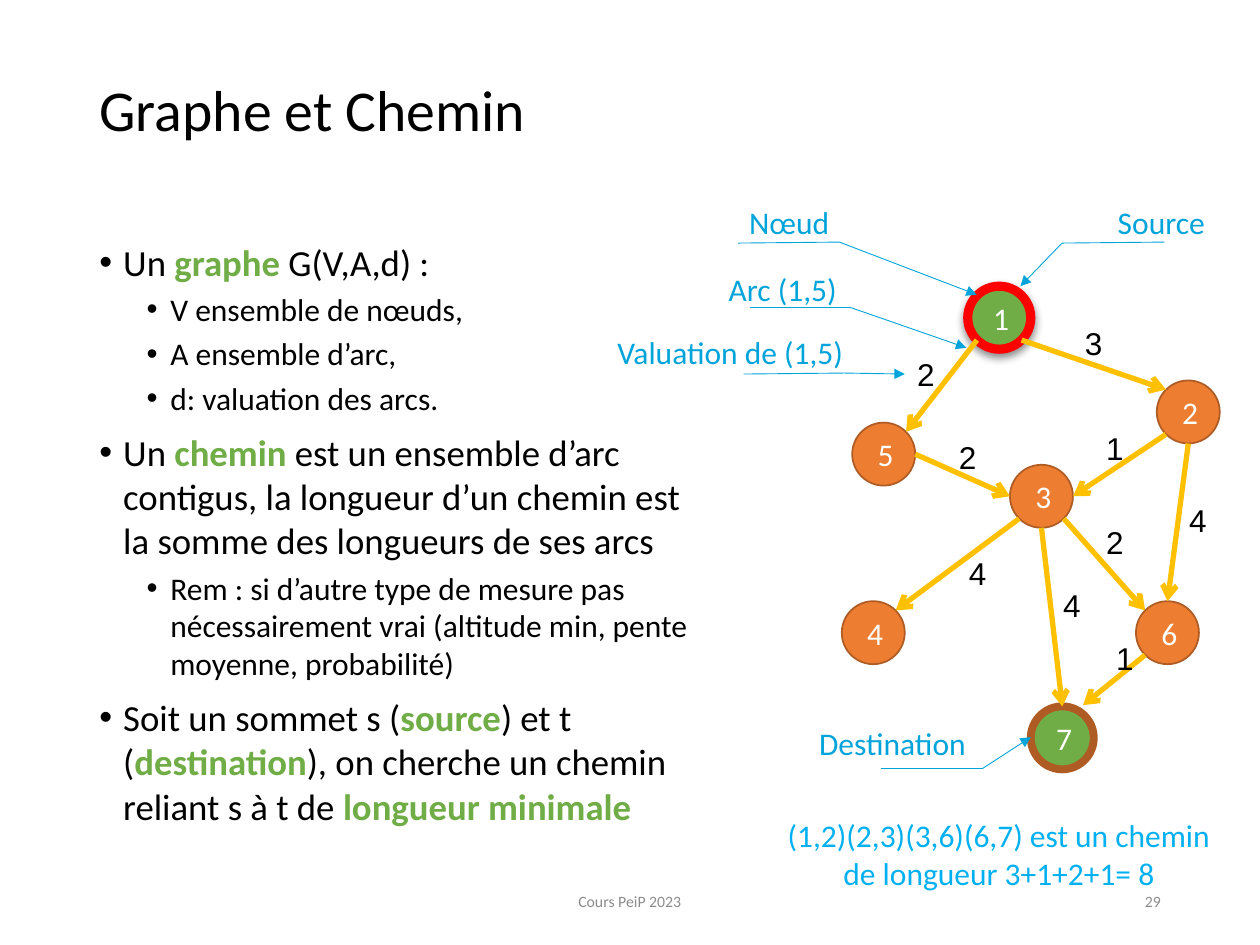
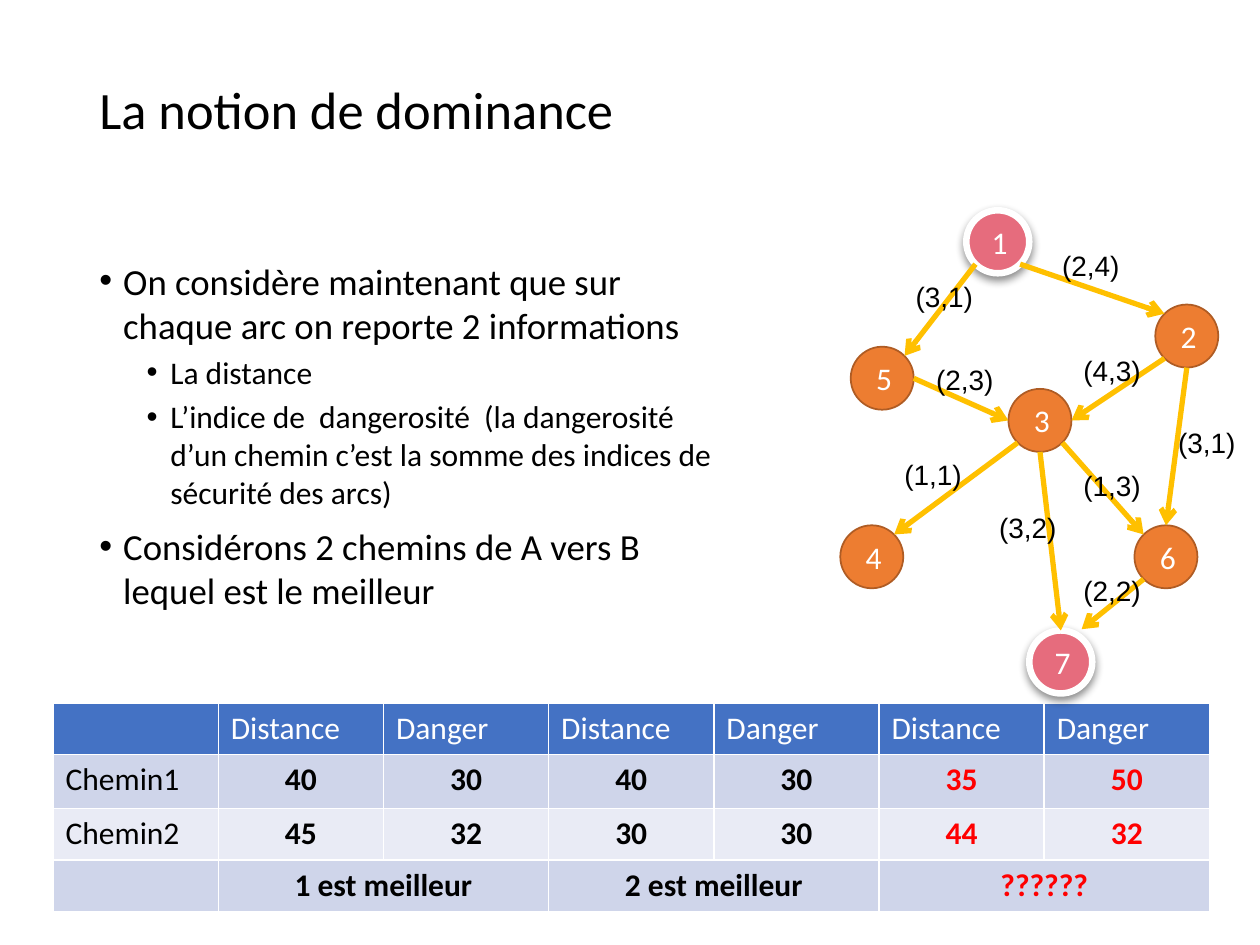
"""Build two slides on graphs, paths and dominance."""
from lxml import etree
from pptx import Presentation
from pptx.dml.color import RGBColor
from pptx.enum.shapes import MSO_CONNECTOR, MSO_SHAPE
from pptx.enum.text import MSO_ANCHOR, MSO_AUTO_SIZE, PP_ALIGN
from pptx.oxml.ns import qn
from pptx.util import Cm, Pt

LEFT, CENTER, RIGHT = PP_ALIGN.LEFT, PP_ALIGN.CENTER, PP_ALIGN.RIGHT
TOP, MIDDLE = MSO_ANCHOR.TOP, MSO_ANCHOR.MIDDLE
NO_AUTOFIT = MSO_AUTO_SIZE.NONE
STRAIGHT = MSO_CONNECTOR.STRAIGHT
OVAL = MSO_SHAPE.OVAL

BLACK = RGBColor(0x00, 0x00, 0x00)
WHITE = RGBColor(0xFF, 0xFF, 0xFF)
RED = RGBColor(0xFF, 0x00, 0x00)
GREEN = RGBColor(0x70, 0xAD, 0x47)
ORANGE = RGBColor(0xED, 0x7D, 0x31)
BROWN = RGBColor(0xAF, 0x5C, 0x24)
PINK = RGBColor(0xE6, 0x6C, 0x7D)
AMBER = RGBColor(0xFF, 0xC0, 0x00)
CALLOUT_BLUE = RGBColor(0x01, 0xA4, 0xDA)
PATH_BLUE = RGBColor(0x00, 0xB0, 0xF0)
GRAY = RGBColor(0x8C, 0x8C, 0x8C)
HEADER_BLUE = RGBColor(0x44, 0x72, 0xC4)
BAND_DARK = RGBColor(0xCF, 0xD5, 0xEA)
BAND_LIGHT = RGBColor(0xE9, 0xEB, 0xF5)

FONT = "Calibri"
LABEL_FONT = "Arial"

DIAMETER = 1.27
NODE_OFFSETS = {
    1: (0, 0), 2: (3.81, 1.9), 3: (0.85, 3.6), 4: (-2.54, 6.35),
    5: (-2.33, 2.75), 6: (3.39, 6.35), 7: (1.27, 8.47),
}
RIM = {
    "top": (0, -1), "left": (-1, 0), "bottom": (0, 1), "right": (1, 0),
    "top left": (-0.71, -0.71), "top right": (0.71, -0.71),
    "bottom left": (-0.71, 0.71), "bottom right": (0.71, 0.71),
    "above right": (0.66, -1.04),
}
ARCS = {
    (1, 2): ("bottom right", "top left"),
    (1, 5): ("bottom left", "top right"),
    (5, 3): ("right", "left"),
    (2, 3): ("bottom left", "right"),
    (2, 6): ("bottom", "top"),
    (6, 7): ("bottom left", "above right"),
    (3, 4): ("bottom left", "top right"),
    (3, 6): ("bottom right", "top left"),
    (3, 7): ("bottom", "top"),
}

GRAPH_BULLETS = [
    (0, "Un |graphe| G(V,A,d) :"),
    (1, "V ensemble de nœuds,"),
    (1, "A ensemble d’arc,"),
    (1, "d: valuation des arcs."),
    (0, "Un |chemin| est un ensemble d’arc contigus, la longueur d’un chemin "
        "est la somme des longueurs de ses arcs"),
    (1, "Rem : si d’autre type de mesure pas nécessairement vrai "
        "(altitude min, pente moyenne, probabilité)"),
    (0, "Soit un sommet s (|source|) et t (|destination|), on cherche un "
        "chemin reliant s à t de |longueur minimale|"),
]
DOMINANCE_BULLETS = [
    (0, "On considère maintenant que sur chaque arc on reporte 2 informations"),
    (1, "La distance"),
    (1, "L’indice de  dangerosité  (la dangerosité d’un chemin c’est la somme "
        "des indices de sécurité des arcs)"),
    (0, "Considérons 2 chemins de A vers B  lequel est le meilleur"),
]

LENGTHS = [
    ("2", 18.24, 7.04), ("4", 21.18, 11.68), ("3", 21.62, 6.4),
    ("4", 19.28, 11.05), ("2", 22.05, 10.41), ("1", 22.25, 12.75),
    ("4", 23.72, 9.98), ("2", 19.08, 8.71), ("1", 22.05, 8.53),
]
DISTANCE_DANGER = [
    ("(3,1)", 18.21, 5.51), ("(2,4)", 21.16, 4.88), ("(2,3)", 18.62, 7.19),
    ("(4,3)", 21.59, 7.01), ("(2,2)", 21.59, 11.43), ("(1,3)", 21.59, 9.32),
    ("(1,1)", 17.98, 9.09), ("(3,2)", 19.89, 10.16), ("(3,1)", 23.5, 8.46),
]
CALLOUTS = [
    ("Nœud", (14.68, 3.96, 2.29), [(14.88, 4.9), (16.92, 4.88), (19.69, 5.94)]),
    ("Arc (1,5)", (14.4, 5.31, 2.72), [(15.11, 6.2), (17.15, 6.2), (19.48, 7.01)]),
    ("Valuation de (1,5)", (12.12, 6.58, 5.13),
     [(14.99, 7.54), (17.02, 7.52), (18.24, 7.54)]),
    ("Source", (22.25, 3.96, 2.29), [(23.47, 4.88), (21.41, 4.9), (20.57, 5.77)]),
    ("Destination", (16.21, 14.48, 3.51),
     [(17.75, 15.49), (19.81, 15.49), (20.78, 14.86)]),
]
COMPARISON = [
    [""] + ["Distance", "Danger"] * 3,
    ["Chemin1", "40", "30", "40", "30", "35", "50"],
    ["Chemin2", "45", "32", "30", "30", "44", "32"],
    ["", "1 est meilleur", "", "2 est meilleur", "", "??????", ""],
]


def add_run(paragraph, text, size, color, bold=False, font=FONT):
    """Add one formatted run to a paragraph."""
    run = paragraph.add_run()
    run.text = text
    run.font.name = font
    run.font.size = Pt(size)
    run.font.bold = bold
    run.font.color.rgb = color


def place(shape, left, top, width, height):
    """Move and size a shape, in centimetres."""
    shape.left, shape.top = Cm(left), Cm(top)
    shape.width, shape.height = Cm(width), Cm(height)


def set_title(slide, text, size):
    """Fill the title placeholder."""
    title = slide.shapes.title
    place(title, 1.75, 1.02, 15.47, 2.51)
    frame = title.text_frame
    frame.auto_size = NO_AUTOFIT
    frame.vertical_anchor = MIDDLE
    paragraph = frame.paragraphs[0]
    paragraph.alignment = LEFT
    paragraph.line_spacing = 0.9
    add_run(paragraph, text, size, BLACK)


def set_bullets(slide, items, top, width, height):
    """Fill the body placeholder; text between bars is highlighted."""
    body = slide.placeholders[1]
    place(body, 1.75, top, width, height)
    frame = body.text_frame
    frame.auto_size = NO_AUTOFIT
    for index, (level, text) in enumerate(items):
        paragraph = frame.add_paragraph() if index else frame.paragraphs[0]
        paragraph.level = level
        properties = paragraph._p.get_or_add_pPr()
        properties.set("marL", str(Cm(1.43 if level else 0.48)))
        properties.set("indent", str(-Cm(0.48)))
        etree.SubElement(properties, qn("a:buFont"), typeface=LABEL_FONT)
        etree.SubElement(properties, qn("a:buChar"), char="•")
        paragraph.space_before = Pt((3.75 if level else 7.5) if index else 0)
        for part, piece in enumerate(text.split("|")):
            if piece:
                highlighted = part % 2 == 1
                add_run(paragraph, piece, 18 if level else 21,
                        GREEN if highlighted else BLACK, highlighted)


def add_text(slide, text, box, size, color, alignment=LEFT, font=FONT,
             wrap=True, anchor=TOP):
    """Add a text box holding one run."""
    frame = slide.shapes.add_textbox(*map(Cm, box)).text_frame
    frame.word_wrap = wrap
    frame.vertical_anchor = anchor
    paragraph = frame.paragraphs[0]
    paragraph.alignment = alignment
    add_run(paragraph, text, size, color, font=font)


def add_footer(slide, number):
    """Add the course name and the slide number."""
    for text, left, width, alignment in (("Cours PeiP 2023", 8.41, 8.57, CENTER),
                                         (number, 17.94, 5.71, RIGHT)):
        add_text(slide, text, (left, 17.66, width, 1.01), 9, GRAY, alignment,
                 anchor=MIDDLE)


def add_line(slide, start, end, color, width, head=None):
    """Add a straight line, with an arrowhead at its end if named."""
    connector = slide.shapes.add_connector(STRAIGHT, *map(Cm, start + end))
    connector.line.color.rgb = color
    connector.line.width = Pt(width)
    if head:
        etree.SubElement(connector.line._get_or_add_ln(), qn("a:tailEnd"), type=head)
    etree.SubElement(connector._element.spPr, qn("a:effectLst"))


def add_shadow(shape):
    """Give a shape a soft shadow below it."""
    effects = shape._element.spPr.find(qn("a:effectLst"))
    shadow = etree.SubElement(effects, qn("a:outerShdw"), blurRad=str(Pt(5)),
                              dist=str(Pt(2.4)), dir="5400000", rotWithShape="0")
    color = etree.SubElement(shadow, qn("a:srgbClr"), val=str(BLACK))
    etree.SubElement(color, qn("a:alpha"), val="45000")


def add_node(slide, number, left, top, fill, outline, width, shadowed):
    """Add a numbered round node."""
    node = slide.shapes.add_shape(OVAL, Cm(left), Cm(top), Cm(DIAMETER), Cm(DIAMETER))
    node.fill.solid()
    node.fill.fore_color.rgb = fill
    node.line.color.rgb = outline
    node.line.width = Pt(width)
    node.shadow.inherit = False
    if shadowed:
        add_shadow(node)
    node.text_frame.vertical_anchor = MIDDLE
    paragraph = node.text_frame.paragraphs[0]
    paragraph.alignment = RIGHT
    add_run(paragraph, str(number), 18, WHITE)


def add_graph(slide, left, top, end_styles, labels, label_size, label_width):
    """Add the nodes, the arcs and the arc labels of the graph."""
    for number, (right, down) in NODE_OFFSETS.items():
        style = end_styles.get(number, (ORANGE, BROWN, 1, False))
        add_node(slide, number, left + right, top + down, *style)

    def rim_point(number, side):
        """Return a point on the rim of a node."""
        radius = DIAMETER / 2
        offset, direction = NODE_OFFSETS[number], RIM[side]
        return (left + offset[0] + radius * (1 + direction[0]),
                top + offset[1] + radius * (1 + direction[1]))

    for (source, target), (exit_side, entry_side) in ARCS.items():
        add_line(slide, rim_point(source, exit_side), rim_point(target, entry_side),
                 AMBER, 3, "arrow")
    for text, label_left, label_top in labels:
        add_text(slide, text, (label_left, label_top, label_width, 1), label_size,
                 BLACK, font=LABEL_FONT)


def add_callout(slide, text, box, points):
    """Add a label with an underline that leads to an arrow."""
    add_text(slide, text, (*box, 1.02), 18, CALLOUT_BLUE, RIGHT, wrap=False)
    start, bend, end = points
    add_line(slide, start, bend, CALLOUT_BLUE, 0.5)
    add_line(slide, bend, end, CALLOUT_BLUE, 0.5, "triangle")


def style_cell(cell, fill):
    """Give a cell white borders and a plain fill."""
    properties = cell._tc.get_or_add_tcPr()
    for side in ("a:lnL", "a:lnR", "a:lnT", "a:lnB"):
        border = etree.SubElement(properties, qn(side), w=str(Pt(1)))
        solid = etree.SubElement(border, qn("a:solidFill"))
        etree.SubElement(solid, qn("a:srgbClr"), val=str(WHITE))
    cell.fill.solid()
    cell.fill.fore_color.rgb = fill


def add_comparison(slide):
    """Add the table that compares the two paths."""
    frame = slide.shapes.add_table(4, 7, Cm(1.07), Cm(14.17), Cm(23.31), Cm(4.21))
    table = frame.table
    for column in table.columns:
        column.width = Cm(3.33)
    fills = (HEADER_BLUE, BAND_DARK, BAND_LIGHT, BAND_DARK)
    for row, (values, fill) in enumerate(zip(COMPARISON, fills)):
        table.rows[row].height = Cm(1.09 if row == 1 else 1.04)
        for column, text in enumerate(values):
            cell = table.cell(row, column)
            style_cell(cell, fill)
            if not text:
                continue
            is_value = row > 0 and column > 0
            color = WHITE if row == 0 else RED if column > 4 else BLACK
            paragraph = cell.text_frame.paragraphs[0]
            paragraph.alignment = CENTER if is_value else LEFT
            add_run(paragraph, text, 18, color, is_value)
    for column in (1, 3, 5):
        table.cell(3, column).merge(table.cell(3, column + 1))


def build_graph_slide(slide):
    """Build the slide that defines graphs and paths."""
    set_title(slide, "Graphe et Chemin", 33)
    set_bullets(slide, GRAPH_BULLETS, 4.7, 12.6, 13.72)
    add_footer(slide, "29")
    add_graph(slide, 19.51, 5.77,
              {1: (GREEN, RED, 5.25, True), 7: (GREEN, BROWN, 4.5, False)},
              LENGTHS, 18, 0.64)
    for callout in CALLOUTS:
        add_callout(slide, *callout)
    add_text(slide, "(1,2)(2,3)(3,6)(6,7) est un chemin de longueur 3+1+2+1= 8",
             (15.44, 16.33, 9.4, 1.8), 18, PATH_BLUE, CENTER)


def build_dominance_slide(slide):
    """Build the slide that introduces dominance."""
    set_title(slide, "La notion de dominance", 30)
    set_bullets(slide, DOMINANCE_BULLETS, 5.08, 13.26, 12.09)
    add_comparison(slide)
    end_style = (PINK, WHITE, 3.75, True)
    add_graph(slide, 19.48, 4.24, {1: end_style, 7: end_style},
              DISTANCE_DANGER, 16, 1.9)


def main():
    """Create the presentation and save it."""
    presentation = Presentation()
    presentation.slide_width, presentation.slide_height = Cm(25.4), Cm(19.05)
    layout = presentation.slide_layouts[1]
    for build in (build_graph_slide, build_dominance_slide):
        build(presentation.slides.add_slide(layout))
    presentation.save("out.pptx")


if __name__ == "__main__":
    main()
